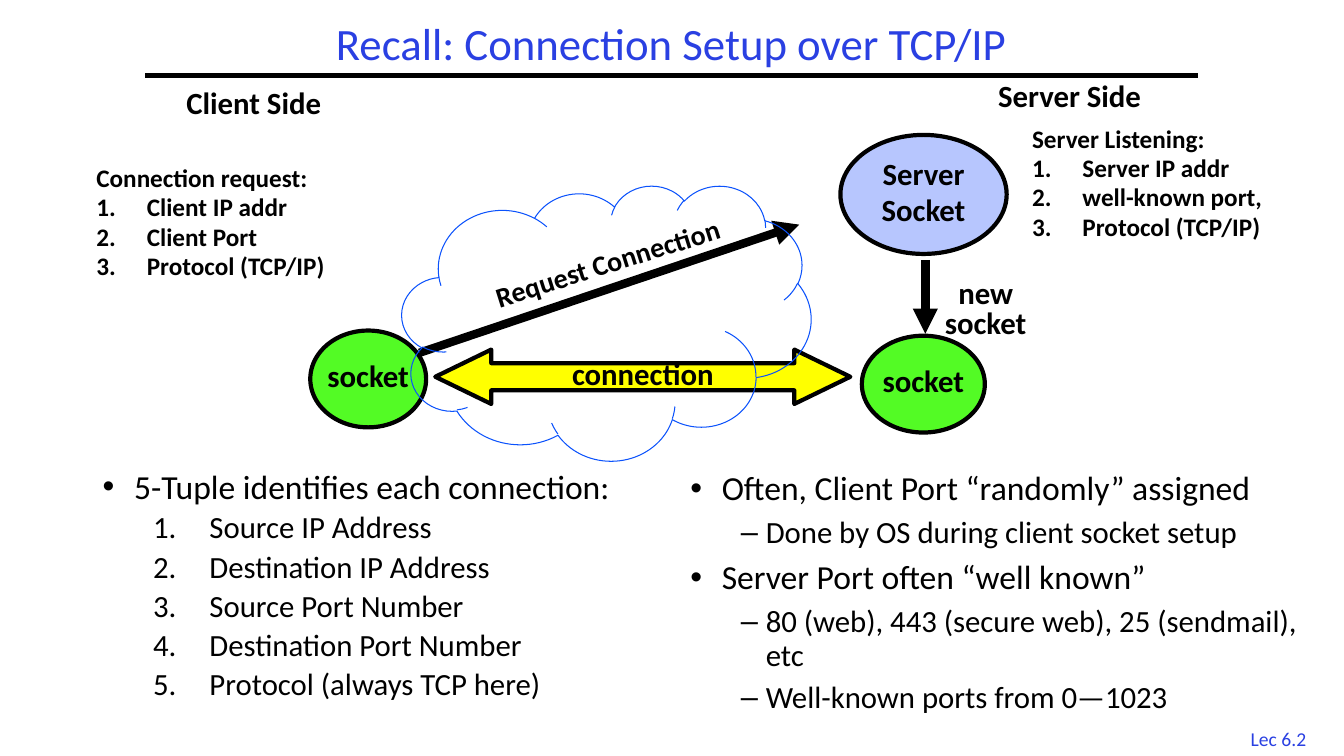
from collections import namedtuple

from lxml.etree import SubElement
from pptx import Presentation
from pptx.dml.color import RGBColor
from pptx.enum.shapes import MSO_CONNECTOR, MSO_SHAPE
from pptx.enum.text import MSO_ANCHOR, PP_ALIGN
from pptx.oxml.ns import qn
from pptx.util import Cm, Pt

BLACK = RGBColor(0x00, 0x00, 0x00)
TITLE_BLUE = RGBColor(0x2A, 0x40, 0xE2)
CLOUD_BLUE = RGBColor(0x0B, 0x52, 0xFC)
SERVER_BLUE = RGBColor(0xB7, 0xC6, 0xFE)
SOCKET_GREEN = RGBColor(0x53, 0xFB, 0x25)
CONNECTION_YELLOW = RGBColor(0xFF, 0xFF, 0x00)

NUMBERED = "1."
Level = namedtuple("Level", "size margin hang bullet")
HEADING = Level(18, 0, 0, None)
ENDPOINT = Level(18, 1.27, 1.27, NUMBERED)
POINT = Level(24, 0.79, 0.79, "•")
TUPLE_ITEM = Level(22, 2.69, 1.42, NUMBERED)
DETAIL = Level(22, 1.9, 0.63, "–")


def indent(paragraph, level):
    """Give a paragraph the hanging indent and bullet of its level."""
    properties = paragraph._p.get_or_add_pPr()
    properties.set("marL", str(Cm(level.margin)))
    properties.set("indent", str(-Cm(level.hang)))
    if level.bullet == NUMBERED:
        SubElement(properties, qn("a:buFont"), typeface="+mj-lt")
        SubElement(properties, qn("a:buAutoNum"), type="arabicPeriod")
    elif level.bullet:
        SubElement(properties, qn("a:buFont"), typeface="Arial")
        SubElement(properties, qn("a:buChar"), char=level.bullet)


def write(frame, lines, size=22, bold=True, color=BLACK, align=PP_ALIGN.CENTER,
          anchor=MSO_ANCHOR.TOP, wrap=True, spacing=0.8, before=0.2):
    """Fill a frame with plain lines or (text, level) pairs; before is a share of the size."""
    frame.word_wrap = wrap
    frame.vertical_anchor = anchor
    frame.margin_left = frame.margin_right = Cm(0.25)
    frame.margin_top = frame.margin_bottom = Cm(0.13)
    for number, line in enumerate(lines):
        text, level = (line, None) if isinstance(line, str) else line
        paragraph = frame.add_paragraph() if number else frame.paragraphs[0]
        if level:
            indent(paragraph, level)
        points = level.size if level else size
        paragraph.alignment = align
        paragraph.line_spacing = spacing
        paragraph.space_before = Pt(before * points if number else 0)
        run = paragraph.add_run()
        run.text = text
        run.font.name = "Calibri"
        run.font.size = Pt(points)
        run.font.bold = bold
        run.font.color.rgb = color


def add_text(slide, left, top, width, height, lines, rotation=0, **text_format):
    box = slide.shapes.add_textbox(Cm(left), Cm(top), Cm(width), Cm(height))
    box.rotation = rotation
    write(box.text_frame, lines, **text_format)


def add_figure(slide, kind, left, top, width, height, fill=None, line=BLACK,
               weight=3, lines=()):
    figure = slide.shapes.add_shape(kind, Cm(left), Cm(top), Cm(width), Cm(height))
    figure.shadow.inherit = False
    if fill is None:
        figure.fill.background()
    else:
        figure.fill.solid()
        figure.fill.fore_color.rgb = fill
    figure.line.color.rgb = line
    figure.line.width = Pt(weight)
    write(figure.text_frame, lines, anchor=MSO_ANCHOR.MIDDLE, wrap=False)
    return figure


def add_line(slide, start, end, weight, arrow=False):
    line = slide.shapes.add_connector(
        MSO_CONNECTOR.STRAIGHT, *map(Cm, start), *map(Cm, end))
    line.line.color.rgb = BLACK
    line.line.width = Pt(weight)
    if arrow:
        SubElement(line.line._get_or_add_ln(), qn("a:tailEnd"), type="triangle")
    SubElement(line._element.spPr, qn("a:effectLst"))


def add_endpoint(slide, left, top, heading, items):
    add_text(slide, left, top, 7.06, 3.18,
             [(heading, HEADING)] + [(item, ENDPOINT) for item in items],
             align=PP_ALIGN.LEFT)


def add_header(slide):
    add_text(slide, 30.99, 18.19, 2.46, 0.84, ["Lec 6.2"], size=14, bold=False,
             color=TITLE_BLUE, spacing=1.0)
    add_line(slide, (3.66, 1.9), (30.2, 1.9), 3)
    add_text(slide, 3.66, 0.43, 26.52, 1.47, ["Recall: Connection Setup over TCP/IP"],
             size=32, bold=False, color=TITLE_BLUE, anchor=MSO_ANCHOR.MIDDLE, spacing=0.9)


def add_diagram(slide):
    add_figure(slide, MSO_SHAPE.OVAL, 7.82, 8.33, 2.92, 2.44, SOCKET_GREEN, lines=["socket"])
    add_endpoint(slide, 25.76, 3.12, "Server Listening:",
                 ["Server IP addr", "well-known port,", "Protocol (TCP/IP)"])
    add_endpoint(slide, 2.18, 4.11, "Connection request:",
                 ["Client IP addr", "Client Port", "Protocol (TCP/IP)"])
    add_figure(slide, MSO_SHAPE.OVAL, 21.18, 3.4, 4.19, 3, SERVER_BLUE,
               lines=["Server", "Socket"])
    add_line(slide, (23.32, 6.55), (23.32, 8.41), 6, arrow=True)
    add_text(slide, 23.34, 6.96, 3, 1.75, ["new", "socket"], before=0)
    add_figure(slide, MSO_SHAPE.OVAL, 21.72, 8.46, 3.1, 2.44, SOCKET_GREEN, lines=["socket"])
    connection = add_figure(slide, MSO_SHAPE.LEFT_RIGHT_ARROW, 10.97, 8.81, 10.46, 1.37,
                            CONNECTION_YELLOW, lines=["connection"])
    connection.adjustments[0] = 0.5
    connection.adjustments[1] = 1.03
    add_text(slide, 11.61, 6.22, 7.44, 0.94, ["Request Connection"], rotation=342.5, size=20)
    add_line(slide, (10.57, 8.89), (20.14, 5.66), 6, arrow=True)
    add_text(slide, 24.54, 1.98, 4.83, 0.99, ["Server Side"])
    add_text(slide, 4.11, 2.16, 4.57, 0.99, ["Client Side"])


def add_notes_on_ports(slide):
    tuple_fields = ["Source IP Address", "Destination IP Address", "Source Port Number",
                    "Destination Port Number", "Protocol (always TCP here)"]
    add_text(slide, 2.34, 11.76, 14.4, 6.86,
             [("5-Tuple identifies each connection:", POINT)]
             + [(field, TUPLE_ITEM) for field in tuple_fields],
             bold=False, align=PP_ALIGN.LEFT, spacing=0.85, before=0.25)
    add_text(slide, 17.15, 11.76, 15.8, 6.86, [
        ("Often, Client Port “randomly” assigned", POINT),
        ("Done by OS during client socket setup", DETAIL),
        ("Server Port often “well known”", POINT),
        ("80 (web), 443 (secure web), 25 (sendmail), etc", DETAIL),
        ("Well-known ports from 0—1023", DETAIL),
    ], bold=False, align=PP_ALIGN.LEFT, spacing=0.9, before=0.3)


def main():
    deck = Presentation()
    deck.slide_width, deck.slide_height = Cm(33.87), Cm(19.05)
    slide = deck.slides.add_slide(deck.slide_layouts[6])
    add_header(slide)
    add_diagram(slide)
    add_notes_on_ports(slide)
    add_figure(slide, MSO_SHAPE.CLOUD, 10.13, 4.67, 10.31, 6.93, line=CLOUD_BLUE, weight=0.75)
    deck.save("out.pptx")


if __name__ == "__main__":
    main()
